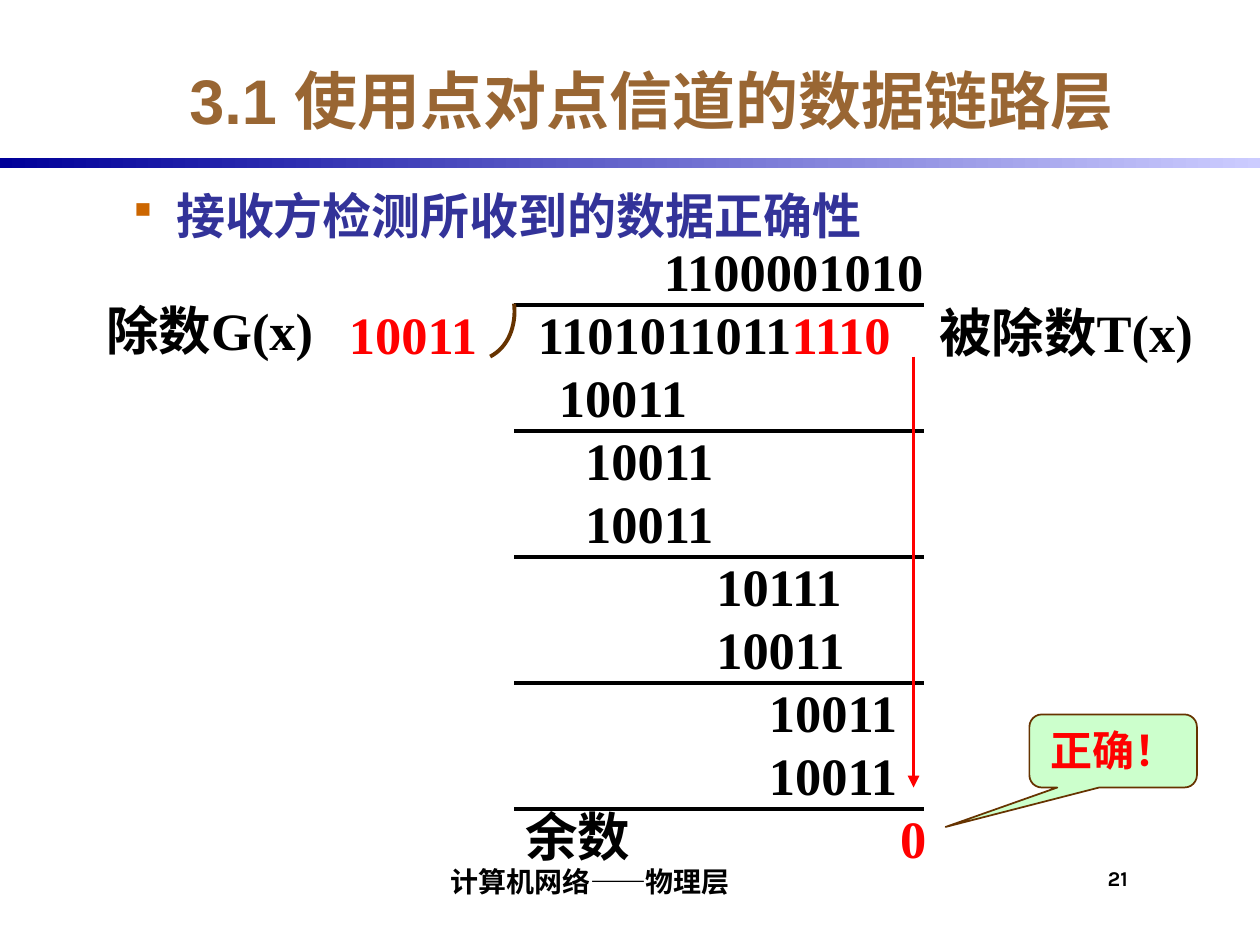
import pptx
import pptx.dml.color
import pptx.enum.dml
import pptx.enum.shapes
import pptx.enum.text
import pptx.oxml.ns
import pptx.util
from lxml import etree

Inches = pptx.util.Inches
Pt = pptx.util.Pt
SHAPES = pptx.enum.shapes.MSO_SHAPE
ALIGN = pptx.enum.text.PP_ALIGN
ANCHOR = pptx.enum.text.MSO_ANCHOR
BLACK, RED, BROWN = "000000", "FF0000", "663300"
SERIF = "Times New Roman"


def color(hex_value):
    return pptx.dml.color.RGBColor.from_string(hex_value)


def add_element(parent, tag, **attributes):
    return etree.SubElement(parent, pptx.oxml.ns.qn(tag), attributes)


class SlideBuilder:
    """Holds the current slide and the style shared by its elements."""

    line_width = 2.25
    insets = (0.1, 0.05, 0.1, 0.05)

    def __init__(self, slide):
        self.slide = slide

    def frame(self, shape, anchor=ANCHOR.TOP, insets=None):
        frame = shape.text_frame
        frame.word_wrap = True
        frame.vertical_anchor = anchor
        (frame.margin_left, frame.margin_top,
         frame.margin_right, frame.margin_bottom) = map(Inches, insets or self.insets)
        return frame

    def fill_paragraph(self, paragraph, runs, size, font=SERIF, align=ALIGN.LEFT):
        """Put (text, colour) runs into a paragraph."""
        paragraph.alignment = align
        paragraph.font.size = Pt(size)
        paragraph.font.name = font
        paragraph.font.bold = True
        for text, hex_value in runs:
            run = paragraph.add_run()
            run.text = text
            run.font.color.rgb = color(hex_value)

    def text(self, box, text, size, hex_value=BLACK, font=SERIF,
             align=ALIGN.CENTER, bullet=None, **frame_options):
        shape = self.slide.shapes.add_textbox(*map(Inches, box))
        paragraph = self.frame(shape, **frame_options).paragraphs[0]
        if bullet:
            self.bullet(paragraph, *bullet)
        self.fill_paragraph(paragraph, [(text, hex_value)], size, font, align)

    def bullet(self, paragraph, character, hex_value):
        properties = paragraph._p.get_or_add_pPr()
        properties.set("marL", str(Inches(0.38)))
        properties.set("indent", str(-Inches(0.38)))
        add_element(add_element(properties, "a:buClr"), "a:srgbClr", val=hex_value)
        add_element(properties, "a:buSzPct", val="80000")
        add_element(properties, "a:buChar", char=character)

    def division(self, box, rows, size, pitch):
        """Set rows of digits; each row starts at a digit column."""
        digit_width = Pt(size / 2)
        frame = self.frame(self.slide.shapes.add_textbox(*map(Inches, box)))
        for index, (column, runs) in enumerate(rows):
            paragraph = frame.paragraphs[0] if index == 0 else frame.add_paragraph()
            properties = paragraph._p.get_or_add_pPr()
            if any("\t" in text for text, _ in runs):
                add_element(add_element(properties, "a:tabLst"), "a:tab",
                            pos=str(8 * digit_width), algn="l")
            properties.set("marL", str(column * digit_width))
            properties.set("indent", "0")
            paragraph.line_spacing = Pt(pitch)
            self.fill_paragraph(paragraph, runs, size)

    def line(self, start, end, hex_value=BLACK, arrow=False):
        connector = self.slide.shapes.add_connector(
            pptx.enum.shapes.MSO_CONNECTOR.STRAIGHT, *map(Inches, start + end))
        connector.line.color.rgb = color(hex_value)
        connector.line.width = Pt(self.line_width)
        if arrow:
            add_element(connector.line._get_or_add_ln(), "a:tailEnd", type="triangle")
        add_element(connector._element.spPr, "a:effectLst")

    def curve(self, points, hex_value, steps=16):
        """Draw a cubic curve through its four control points."""
        def at(t):
            weights = ((1 - t) ** 3, 3 * t * (1 - t) ** 2, 3 * t ** 2 * (1 - t), t ** 3)
            return tuple(Inches(sum(w * p[axis] for w, p in zip(weights, points)))
                         for axis in (0, 1))

        builder = self.slide.shapes.build_freeform(*at(0))
        builder.add_line_segments([at(i / steps) for i in range(1, steps + 1)], close=False)
        shape = builder.convert_to_shape()
        shape.shadow.inherit = False
        shape.fill.background()
        shape.line.color.rgb = color(hex_value)
        shape.line.width = Pt(self.line_width)

    def gradient_bar(self, box, start, end):
        shape = self.slide.shapes.add_shape(SHAPES.RECTANGLE, *map(Inches, box))
        shape.shadow.inherit = False
        shape.line.fill.background()
        shape.fill.gradient()
        shape.fill.gradient_angle = 0
        for stop, hex_value in zip(shape.fill.gradient_stops, (start, end)):
            stop.color.rgb = color(hex_value)

    def callout(self, box, text, fill, adjustments):
        shape = self.slide.shapes.add_shape(
            SHAPES.ROUNDED_RECTANGULAR_CALLOUT, *map(Inches, box))
        for index, value in enumerate(adjustments):
            shape.adjustments[index] = value
        shape.shadow.inherit = False
        shape.fill.solid()
        shape.fill.fore_color.rgb = color(fill)
        shape.line.color.rgb = color(BROWN)
        shape.line.width = Pt(1)
        self.fill_paragraph(self.frame(shape).paragraphs[0], [(text, RED)], 24,
                            align=ALIGN.CENTER)


def main():
    presentation = pptx.Presentation()
    presentation.slide_width, presentation.slide_height = Inches(10), Inches(7.5)
    slide = presentation.slides.add_slide(presentation.slide_layouts[6])
    builder = SlideBuilder(slide)

    # Heading
    builder.gradient_bar((0, 1.25, 10, 0.08), "000099", "CCCCFF")
    builder.text((0.92, 0.33, 8.5, 0.92), "3.1 使用点对点信道的数据链路层", 36,
                 "996633", "Arial", anchor=ANCHOR.MIDDLE)
    builder.text((0.92, 1.42, 8.5, 0.6), "接收方检测所收到的数据正确性", 28,
                 "333399", "Arial", ALIGN.LEFT, bullet=("▪", "CC6600"))

    # Long division: start column and runs of each row
    steps = [(8, "10011"), (9, "10011"), (9, "10011"), (14, "10111"),
             (14, "10011"), (16, "10011"), (16, "10011")]
    rows = [
        (12, [("1100001010", BLACK)]),
        (0, [("10011", RED), ("\t1101011011", BLACK), ("1110", RED)]),
        *[(column, [(digits, BLACK)]) for column, digits in steps],
        (21, [("0", RED)]),
    ]
    builder.division((2.67, 1.85, 5.33, 5.1), rows, size=30, pitch=36)
    for index in range(5):
        y = 2.42 + index
        builder.line((4.08, y), (7.33, y))
    builder.curve([(4.08, 2.41), (4.1, 2.59), (4.03, 2.76), (3.89, 2.83)], BROWN)
    builder.line((7.25, 2.83), (7.25, 6.25), RED, arrow=True)

    # Labels of the division
    for box, label in [((0.58, 2.32, 2.17, 0.6), "除数G(x)"),
                       ((7.17, 2.33, 2.58, 0.6), "被除数T(x)"),
                       ((3.5, 6.33, 2.17, 0.6), "余数")]:
        builder.text(box, label, 30)
    builder.callout((8.17, 5.67, 1.33, 0.58), "正确！", "CCFFCC", (-1, 1.04, 0.17))

    # Footer
    builder.text((2.08, 6.75, 5.17, 0.42), "计算机网络——物理层", 16, font="Karla",
                 anchor=ANCHOR.BOTTOM, insets=(0.04, 0, 0, 0.04))
    builder.text((8.75, 6.83, 0.58, 0.42), "21", 12, font="Karla", align=ALIGN.LEFT,
                 insets=(0.04, 0.04, 0, 0))

    presentation.save("out.pptx")


if __name__ == "__main__":
    main()
